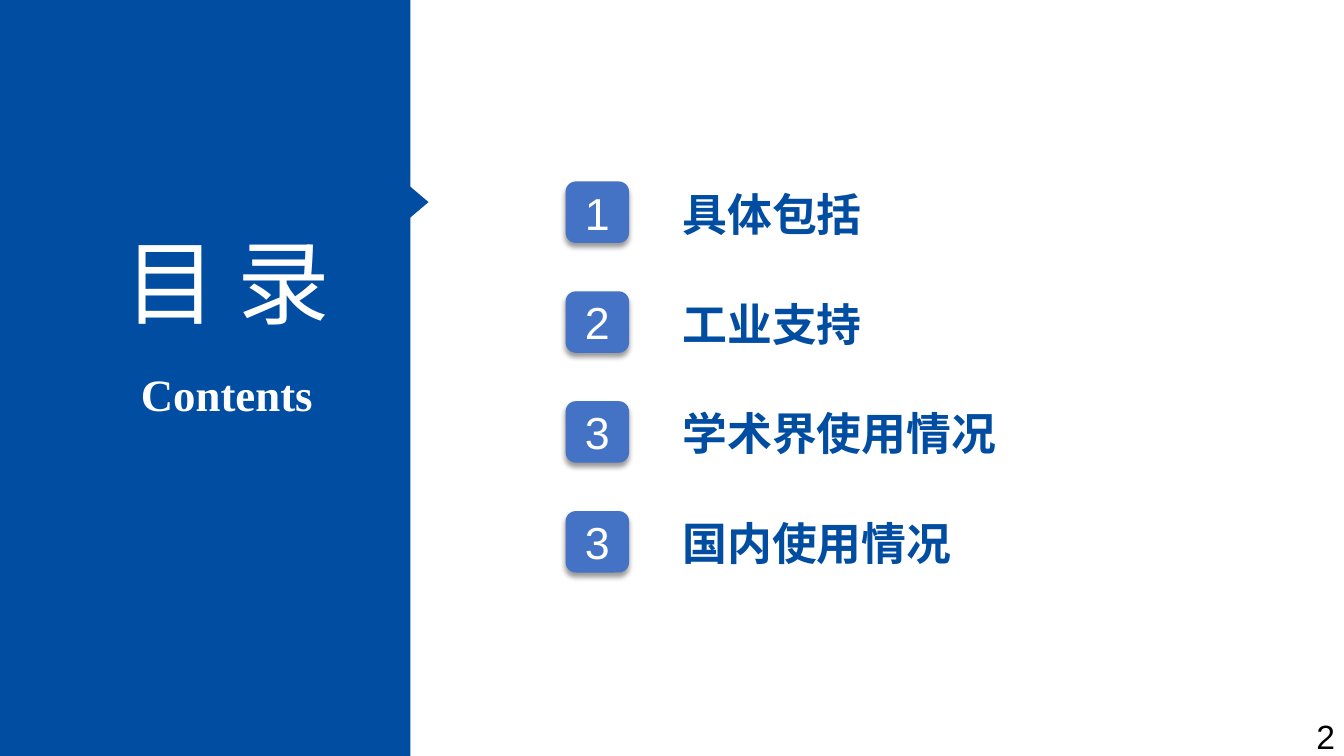
"""Build a contents slide with a blue side panel and four numbered topics."""
from dataclasses import dataclass

from lxml.etree import SubElement
from pptx import Presentation
from pptx.dml.color import RGBColor
from pptx.enum.shapes import MSO_SHAPE
from pptx.enum.text import MSO_ANCHOR, MSO_AUTO_SIZE, PP_ALIGN
from pptx.oxml.ns import qn
from pptx.shapes.autoshape import Shape
from pptx.slide import Slide
from pptx.util import Inches, Pt

NAVY = RGBColor(0x01, 0x4D, 0xA1)
BLUE = RGBColor(0x44, 0x72, 0xC4)
WHITE = RGBColor(0xFF, 0xFF, 0xFF)
BLACK = RGBColor(0x00, 0x00, 0x00)
SANS, CJK, SERIF = "Arial", "Noto Sans CJK SC", "Times New Roman"
TOPIC_TOP, TOPIC_PITCH = 1.8, 1.09


@dataclass(frozen=True)
class Box:
    left: float
    top: float
    width: float
    height: float

    def lengths(self) -> tuple[Inches, ...]:
        return tuple(Inches(v) for v in (self.left, self.top, self.width, self.height))


@dataclass(frozen=True)
class Style:
    font: str
    size: int
    color: RGBColor
    bold: bool = False
    align: PP_ALIGN = PP_ALIGN.CENTER
    anchor: MSO_ANCHOR = MSO_ANCHOR.TOP
    wrap: bool = True
    auto_size: MSO_AUTO_SIZE = MSO_AUTO_SIZE.NONE


@dataclass(frozen=True)
class Topic:
    number: str
    title: str


GROW = MSO_AUTO_SIZE.SHAPE_TO_FIT_TEXT
TITLE = Style(CJK, 66, WHITE, wrap=False, auto_size=GROW)
SUBTITLE = Style(SERIF, 32, WHITE, bold=True, wrap=False, auto_size=GROW)
PAGE = Style(SANS, 24, BLACK, align=PP_ALIGN.RIGHT, anchor=MSO_ANCHOR.MIDDLE)
BADGE = Style(SANS, 32, WHITE, anchor=MSO_ANCHOR.MIDDLE)
TOPIC = Style(CJK, 32, NAVY, bold=True, align=PP_ALIGN.LEFT, auto_size=GROW)

TOPICS = (
    Topic("1", "具体包括"),
    Topic("2", "工业支持"),
    Topic("3", "学术界使用情况"),
    Topic("3", "国内使用情况"),
)


def write(sp: Shape, text: str, style: Style) -> None:
    tf = sp.text_frame
    tf.word_wrap = style.wrap
    tf.auto_size = style.auto_size
    tf.vertical_anchor = style.anchor
    p = tf.paragraphs[0]
    p.text = text
    p.alignment = style.align
    p.font.size = Pt(style.size)
    p.font.bold = style.bold
    p.font.color.rgb = style.color
    p.font.name = style.font
    props = p._p.get_or_add_pPr().get_or_add_defRPr()
    SubElement(props, qn("a:ea"), typeface=style.font)


def add_text(s: Slide, box: Box, text: str, style: Style) -> None:
    write(s.shapes.add_textbox(*box.lengths()), text, style)


def add_filled(s: Slide, kind: MSO_SHAPE, box: Box, color: RGBColor) -> Shape:
    sp = s.shapes.add_shape(kind, *box.lengths())
    sp.shadow.inherit = False
    sp.fill.solid()
    sp.fill.fore_color.rgb = color
    sp.line.fill.background()
    return sp


def add_drop_shadow(sp: Shape) -> None:
    effects = sp._element.spPr.find(qn("a:effectLst"))
    shadow = SubElement(effects, qn("a:outerShdw"), blurRad=str(Pt(4)),
                        dist=str(Pt(3)), dir="5400000", rotWithShape="0")
    color = SubElement(shadow, qn("a:srgbClr"), val=str(BLACK))
    SubElement(color, qn("a:alpha"), val="40000")


def add_topic(s: Slide, topic: Topic, top: float) -> None:
    sp = add_filled(s, MSO_SHAPE.ROUNDED_RECTANGLE, Box(5.61, top, 0.63, 0.61), BLUE)
    add_drop_shadow(sp)
    write(sp, topic.number, BADGE)
    add_text(s, Box(6.67, top, 5.21, 0.64), topic.title, TOPIC)


def main() -> None:
    prs = Presentation()
    prs.slide_width, prs.slide_height = Inches(13.33), Inches(7.5)
    s = prs.slides.add_slide(prs.slide_layouts[6])
    add_filled(s, MSO_SHAPE.RECTANGLE, Box(0, 0, 4.07, 7.5), NAVY)
    add_text(s, Box(1.09, 2.18, 2.33, 1.21), "目 录", TITLE)
    add_text(s, Box(1.28, 3.59, 1.94, 0.64), "Contents", SUBTITLE)
    add_text(s, Box(10.34, 7.1, 3, 0.4), "2", PAGE)
    pointer = add_filled(s, MSO_SHAPE.ISOSCELES_TRIANGLE, Box(3.94, 1.89, 0.39, 0.23), NAVY)
    pointer.rotation = 90
    for i, topic in enumerate(TOPICS):
        add_topic(s, topic, TOPIC_TOP + i * TOPIC_PITCH)
    prs.save("out.pptx")


if __name__ == "__main__":
    main()
